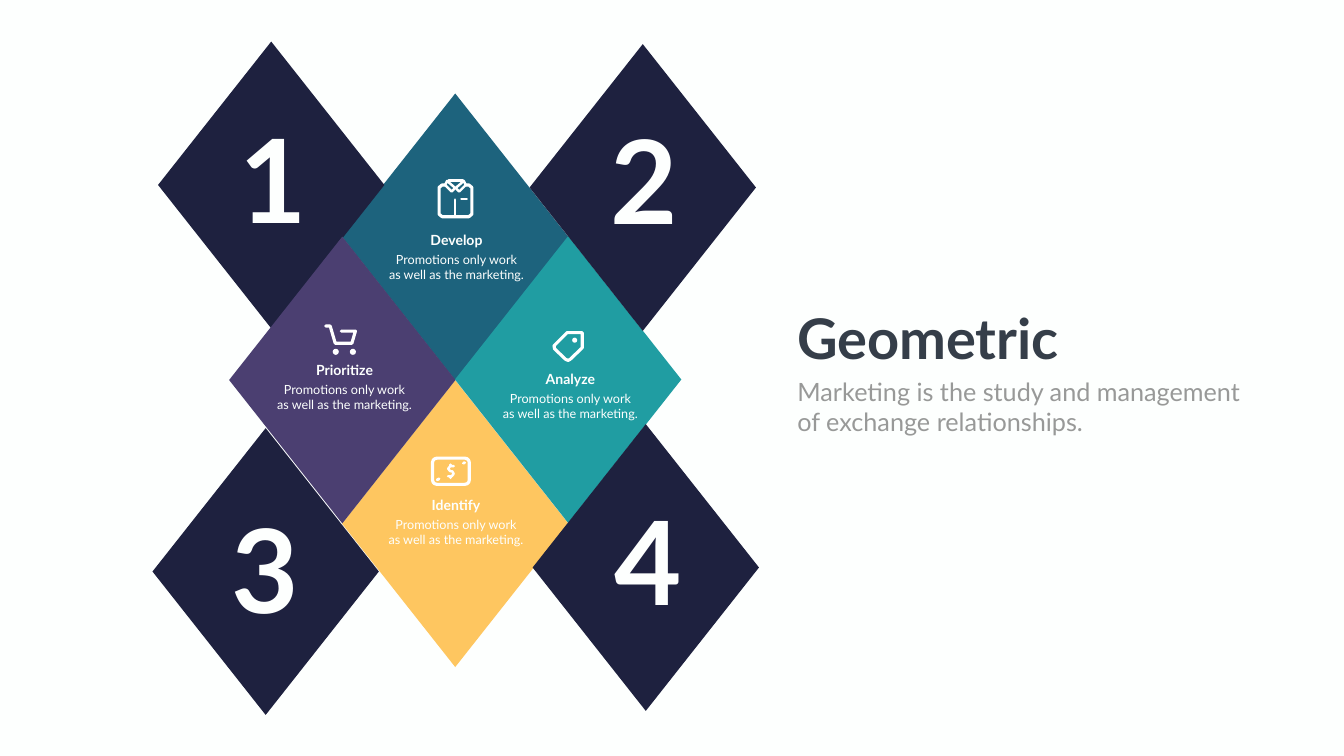
"""Build the "Geometric" slide: eight diamonds, four of them with an icon and a caption."""
from lxml import etree
from pptx import Presentation
from pptx.dml.color import RGBColor
from pptx.enum.shapes import MSO_CONNECTOR, MSO_SHAPE
from pptx.enum.text import MSO_ANCHOR, MSO_AUTO_SIZE, PP_ALIGN
from pptx.oxml.ns import qn
from pptx.util import Inches, Pt

DIAMOND, OVAL, ROUNDED = MSO_SHAPE.DIAMOND, MSO_SHAPE.OVAL, MSO_SHAPE.ROUNDED_RECTANGLE
STRAIGHT = MSO_CONNECTOR.STRAIGHT
LEFT, CENTER = PP_ALIGN.LEFT, PP_ALIGN.CENTER

THEME = {
    "font": "Lato",
    "paper": "FDFFFE", "icon": "FFFFFF", "title": "353E49", "muted": "989998",
    "navy": "1E213F", "blue": "1D637D", "gold": "FEC660", "teal": "209DA2", "purple": "4B3F71",
    "title_pt": 80, "subtitle_pt": 36, "number_pt": 166, "label_pt": 20, "body_pt": 18,
}

TITLE = "Geometric"
SUBTITLE = ["Marketing is the study and management", "of exchange relationships."]
BODY = ["Promotions only work", "as well as the marketing."]

DIAMOND_W, DIAMOND_H = 4.49, 5.69
DIAMONDS = [
    ("blue", 9.03, 4.7), ("gold", 9.03, 10.39), ("teal", 11.27, 7.53),
    ("navy", 12.75, 3.72), ("navy", 12.81, 11.26), ("navy", 5.38, 3.67),
    ("navy", 5.27, 11.34), ("purple", 6.79, 7.54),
]
NUMBERS = [("1", 4.65, 2.08), ("2", 12.01, 2.09), ("3", 4.5, 9.81), ("4", 12.09, 9.66)]
CAPTIONS = [
    ("Develop", 9.055, 4.54), ("Analyze", 11.315, 7.3),
    ("Identify", 9.045, 9.81), ("Prioritize", 6.835, 7.13),
]

SHIRT_AXIS = 9.035
COLLAR = [(8.83, 3.67), (8.87, 3.59), (9.03, 3.73), (8.96, 3.8)]
CLOSED_STROKES = [
    (4.5, [(11.25, 6.6), (11.55, 6.6), (11.55, 6.9), (11.31, 7.13), (11.27, 7.15),
           (11.22, 7.13), (11.0, 6.92), (10.99, 6.86)]),
    (3.5, COLLAR),
    (3.5, [(2 * SHIRT_AXIS - x, y) for x, y in COLLAR]),
]
OPEN_STROKES = [
    (4.5, [(8.83, 3.67), (8.77, 3.67), (8.71, 3.72), (8.71, 4.25), (8.77, 4.3), (9.3, 4.3),
           (9.36, 4.25), (9.36, 3.72), (9.3, 3.67), (9.24, 3.67)]),
    (4.5, [(8.9, 3.58), (9.18, 3.58)]),
    (3, [(9.15, 3.95), (9.26, 3.95)]),
    (3.5, [(9.03, 3.96), (9.03, 4.28)]),
    (4.5, [(6.46, 6.47), (6.55, 6.47), (6.65, 6.81), (6.98, 6.81), (7.05, 6.57), (6.77, 6.57)]),
    (3.5, [(9.0, 9.25), (8.93, 9.25), (8.89, 9.3), (8.93, 9.35), (8.97, 9.35),
           (9.0, 9.4), (8.96, 9.45), (8.89, 9.45)]),
    (3.5, [(8.94, 9.22), (8.94, 9.25)]),
    (3.5, [(8.94, 9.45), (8.94, 9.48)]),
    (4, [(9.19, 9.19), (9.22, 9.18)]),
    (4, [(8.67, 9.52), (8.71, 9.5)]),
]
DOTS = [(11.35, 6.7, 0.1), (6.6, 6.92, 0.12), (6.94, 6.92, 0.12)]
BANKNOTE = (8.58, 9.09, 0.73, 0.52)


def rgb(name):
    return RGBColor.from_string(THEME[name])


def add_preset(s, kind, box, color):
    sp = s.shapes.add_shape(kind, *map(Inches, box))
    sp.shadow.inherit = False
    sp.fill.solid()
    sp.fill.fore_color.rgb = rgb(color)
    sp.line.fill.background()
    return sp


def style_stroke(sp, width):
    sp.line.color.rgb = rgb("icon")
    sp.line.width = Pt(width)
    ln = sp.line._get_or_add_ln()
    ln.set("cap", "rnd")
    etree.SubElement(ln, qn("a:round"))


def add_stroke(s, width, points, close=False):
    pts = [(Inches(x), Inches(y)) for x, y in points]
    if len(pts) == 2:
        sp = s.shapes.add_connector(STRAIGHT, *pts[0], *pts[1])
        style_stroke(sp, width)
        etree.SubElement(sp._element.spPr, qn("a:effectLst"))
        return
    builder = s.shapes.build_freeform(*pts[0])
    builder.add_line_segments(pts[1:], close=close)
    sp = builder.convert_to_shape()
    sp.shadow.inherit = False
    sp.fill.background()
    style_stroke(sp, width)


def write(sp, lines, size, color, bold=False, align=LEFT, wrap=True):
    tf = sp.text_frame
    tf.word_wrap = wrap
    tf.auto_size = MSO_AUTO_SIZE.NONE
    tf.vertical_anchor = MSO_ANCHOR.TOP
    for i, line in enumerate(lines):
        p = tf.add_paragraph() if i else tf.paragraphs[0]
        p.alignment = align
        r = p.add_run()
        r.text = line
        r.font.name = THEME["font"]
        r.font.size = Pt(THEME[size])
        r.font.bold = bold
        r.font.color.rgb = rgb(color)


def add_text(s, box, lines, size, color, **style):
    write(s.shapes.add_textbox(*map(Inches, box)), lines, size, color, **style)


def add_icons(s):
    for width, points in CLOSED_STROKES:
        add_stroke(s, width, points, close=True)
    for width, points in OPEN_STROKES:
        add_stroke(s, width, points)
    for x, y, d in DOTS:
        add_preset(s, OVAL, (x, y, d, d), "icon")
    note = add_preset(s, ROUNDED, BANKNOTE, "icon")
    note.fill.background()
    note.adjustments[0] = 0.17
    style_stroke(note, 4.5)


def main():
    prs = Presentation()
    prs.slide_width, prs.slide_height = Inches(26.66), Inches(15)
    s = prs.slides.add_slide(prs.slide_layouts[5])
    s.background.fill.solid()
    s.background.fill.fore_color.rgb = rgb("paper")

    title = s.shapes.title
    title.left, title.top, title.width, title.height = map(Inches, (15.71, 5.98, 5.49, 1.45))
    write(title, [TITLE], "title_pt", "title", bold=True, wrap=False)
    add_text(s, (15.72, 7.41, 9.74, 1.31), SUBTITLE, "subtitle_pt", "muted")

    for color, cx, cy in DIAMONDS:
        box = (cx - DIAMOND_W / 2, cy - DIAMOND_H / 2, DIAMOND_W, DIAMOND_H)
        add_preset(s, DIAMOND, box, color)
    add_icons(s)
    for label, cx, top in CAPTIONS:
        for lines, size, bold, dy, w, h in (
            ([label], "label_pt", True, 0, 1.87, 0.44),
            (BODY, "body_pt", False, 0.4, 3.33, 0.71),
        ):
            add_text(s, (cx - w / 2, top + dy, w, h), lines, size, "paper", bold=bold, align=CENTER)
    for number, x, y in NUMBERS:
        add_text(s, (x, y, 1.55, 2.89), [number], "number_pt", "paper", bold=True, wrap=False)

    prs.save("out.pptx")


if __name__ == "__main__":
    main()
